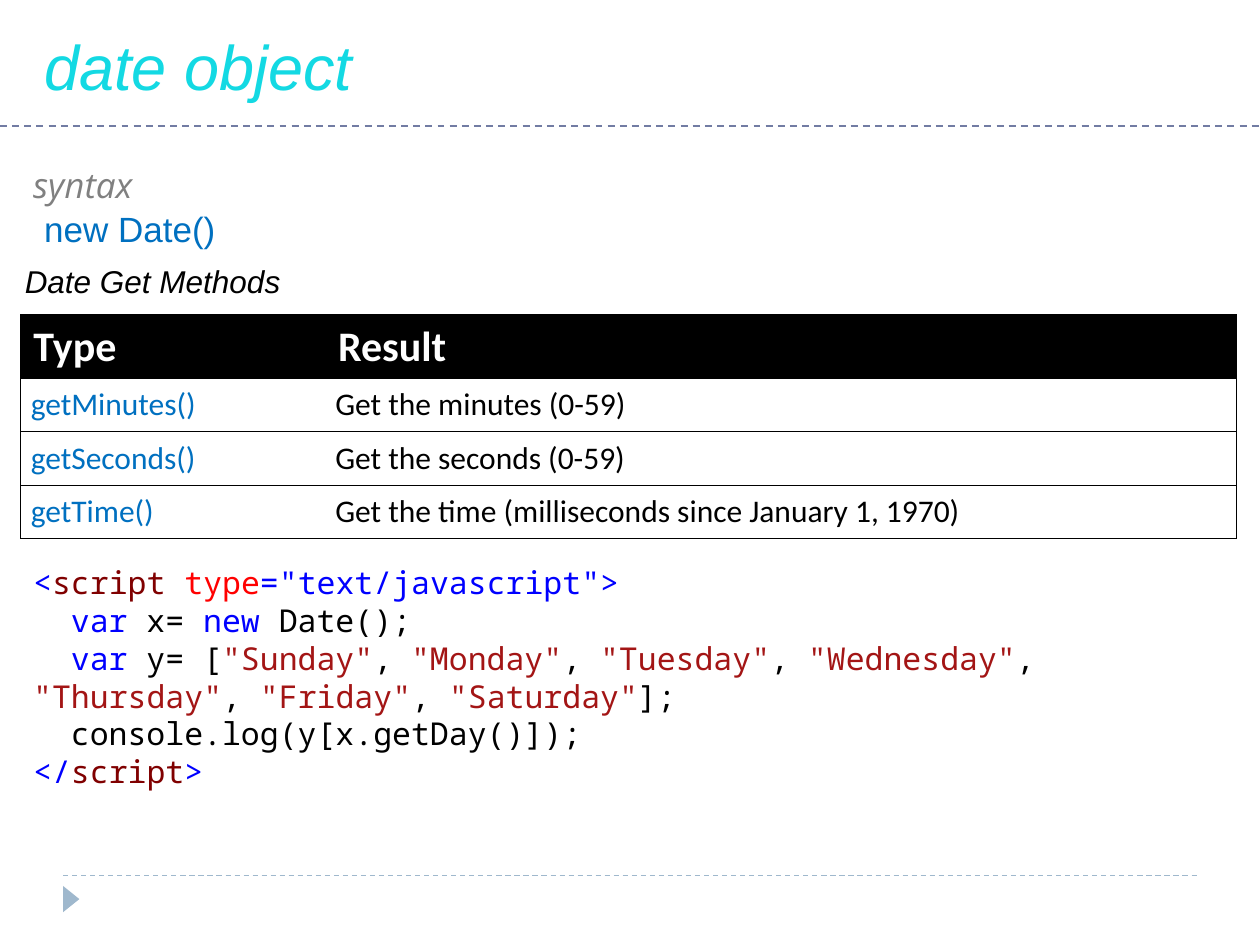
from lxml import etree
from pptx import Presentation
from pptx.dml.color import RGBColor
from pptx.enum.dml import MSO_LINE
from pptx.enum.shapes import MSO_CONNECTOR, MSO_SHAPE
from pptx.enum.text import MSO_ANCHOR, MSO_AUTO_SIZE
from pptx.oxml.ns import qn
from pptx.util import Cm, Pt

STRAIGHT = MSO_CONNECTOR.STRAIGHT
TRIANGLE = MSO_SHAPE.ISOSCELES_TRIANGLE
DASH = MSO_LINE.DASH
MIDDLE = MSO_ANCHOR.MIDDLE
GROW = MSO_AUTO_SIZE.SHAPE_TO_FIT_TEXT

BLACK = RGBColor(0x00, 0x00, 0x00)
WHITE = RGBColor(0xFF, 0xFF, 0xFF)
CYAN = RGBColor(0x13, 0xD9, 0xE3)
BLUE = RGBColor(0x00, 0x70, 0xC0)
GRAY = RGBColor(0x80, 0x80, 0x80)
SLATE = RGBColor(0x72, 0x7C, 0xA3)
PALE_BLUE = RGBColor(0x9F, 0xB8, 0xCD)
KEYWORD = RGBColor(0x00, 0x00, 0xFF)
TAG = RGBColor(0x80, 0x00, 0x00)
ATTRIBUTE = RGBColor(0xFF, 0x00, 0x00)
STRING = RGBColor(0xA3, 0x15, 0x15)


def add_text(para, text, font="Arial", size=18, color=BLACK, bold=False, italic=False):
    span = para.add_run()
    span.text = text
    span.font.name = font
    span.font.size = Pt(size)
    span.font.color.rgb = color
    span.font.bold = bold
    span.font.italic = italic


def add_box(left, top, width, height):
    box = slide.shapes.add_textbox(Cm(left), Cm(top), Cm(width), Cm(height))
    box.text_frame.word_wrap = True
    box.text_frame.auto_size = GROW
    return box.text_frame


deck = Presentation()
deck.slide_width = Cm(25.4)
deck.slide_height = Cm(19.05)
slide = deck.slides.add_slide(deck.slide_layouts[6])

for left, right, top, weight, color in [
    (1.27, 24.13, 17.65, 0.75, PALE_BLUE),
    (0, 25.4, 2.54, 1, SLATE),
]:
    rule = slide.shapes.add_connector(STRAIGHT, Cm(left), Cm(top), Cm(right), Cm(top))
    rule.line.width = Pt(weight)
    rule.line.color.rgb = color
    rule.line.dash_style = DASH
    etree.SubElement(rule.element.spPr, qn("a:effectLst"))

marker = slide.shapes.add_shape(TRIANGLE, Cm(1.17), Cm(17.96), Cm(0.53), Cm(0.33))
marker.rotation = 90
marker.shadow.inherit = False
marker.fill.solid()
marker.fill.fore_color.rgb = PALE_BLUE
marker.line.fill.background()

for text, place, style in [
    ("date object", (0.64, 0.43, 23.93, 1.8), dict(size=36, color=CYAN, italic=True)),
    ("new Date()", (0.64, 4.06, 24.13, 1.11), dict(size=20, color=BLUE)),
    ("syntax", (0.42, 3.18, 24.55, 1.11),
     dict(font="Open Sans", size=20, color=GRAY, italic=True)),
    ("Date Get Methods", (0.25, 5.16, 24.72, 1.03), dict(italic=True)),
]:
    add_text(add_box(*place).paragraphs[0], text, **style)

methods = [
    ("Type", "Result"),
    ("getMinutes()", "Get the minutes (0-59)"),
    ("getSeconds()", "Get the seconds (0-59)"),
    ("getTime()", "Get the time (milliseconds since January 1, 1970)"),
]
table = slide.shapes.add_table(4, 2, Cm(0.42), Cm(6.35), Cm(24.51), Cm(4.51)).table
table.horz_banding = False
table.columns[0].width = Cm(6.14)
table.columns[1].width = Cm(18.37)
for row, texts in enumerate(methods):
    table.rows[row].height = Cm(1.08 if row else 1.27)
    for column, text in enumerate(texts):
        cell = table.cell(row, column)
        inner_side = "lnL" if column else "lnR"
        properties = cell._tc.get_or_add_tcPr()
        for side in ("lnL", "lnR", "lnT", "lnB"):
            border = etree.SubElement(properties, qn(f"a:{side}"), w=str(Pt(0.75)))
            if side == inner_side:
                etree.SubElement(border, qn("a:noFill"))
            else:
                fill = etree.SubElement(border, qn("a:solidFill"))
                etree.SubElement(fill, qn("a:srgbClr"), val=str(BLACK))
        para = cell.text_frame.paragraphs[0]
        if row == 0:
            cell.fill.solid()
            cell.fill.fore_color.rgb = BLACK
            add_text(para, text, font="Calibri", size=24, color=WHITE, bold=True)
        else:
            cell.fill.background()
            cell.vertical_anchor = MIDDLE
            cell.margin_left = cell.margin_right = Cm(0.2)
            cell.margin_top = cell.margin_bottom = Cm(0.15)
            add_text(para, text, font="Calibri", color=BLACK if column else BLUE)

days = ["Sunday", "Monday", "Tuesday", "Wednesday", "Thursday", "Friday", "Saturday"]
day_list = []
for day in days:
    day_list += [(f'"{day}"', STRING), ("];" if day == days[-1] else ", ", BLACK)]

code_lines = [
    (0, [("<", KEYWORD), ("script ", TAG), ("type", ATTRIBUTE),
         ('="text/javascript">', KEYWORD)]),
    (0.76, [("var ", KEYWORD), ("x= ", BLACK), ("new", KEYWORD), (" Date();", BLACK)]),
    (0.76, [("var ", KEYWORD), ("y= [", BLACK)] + day_list),
    (0.76, [("console.log(y[x.getDay()]);", BLACK)]),
    (0, [("</", KEYWORD), ("script", TAG), (">", KEYWORD)]),
]
code = add_box(0.42, 11.23, 24.55, 4.88)
for number, (indent, spans) in enumerate(code_lines):
    para = code.add_paragraph() if number else code.paragraphs[0]
    para.line_spacing = Pt(21.6)
    para._p.get_or_add_pPr().set("indent", str(Cm(indent)))
    for text, color in spans:
        add_text(para, text, font="Noto Sans Mono", color=color)

deck.save("out.pptx")
